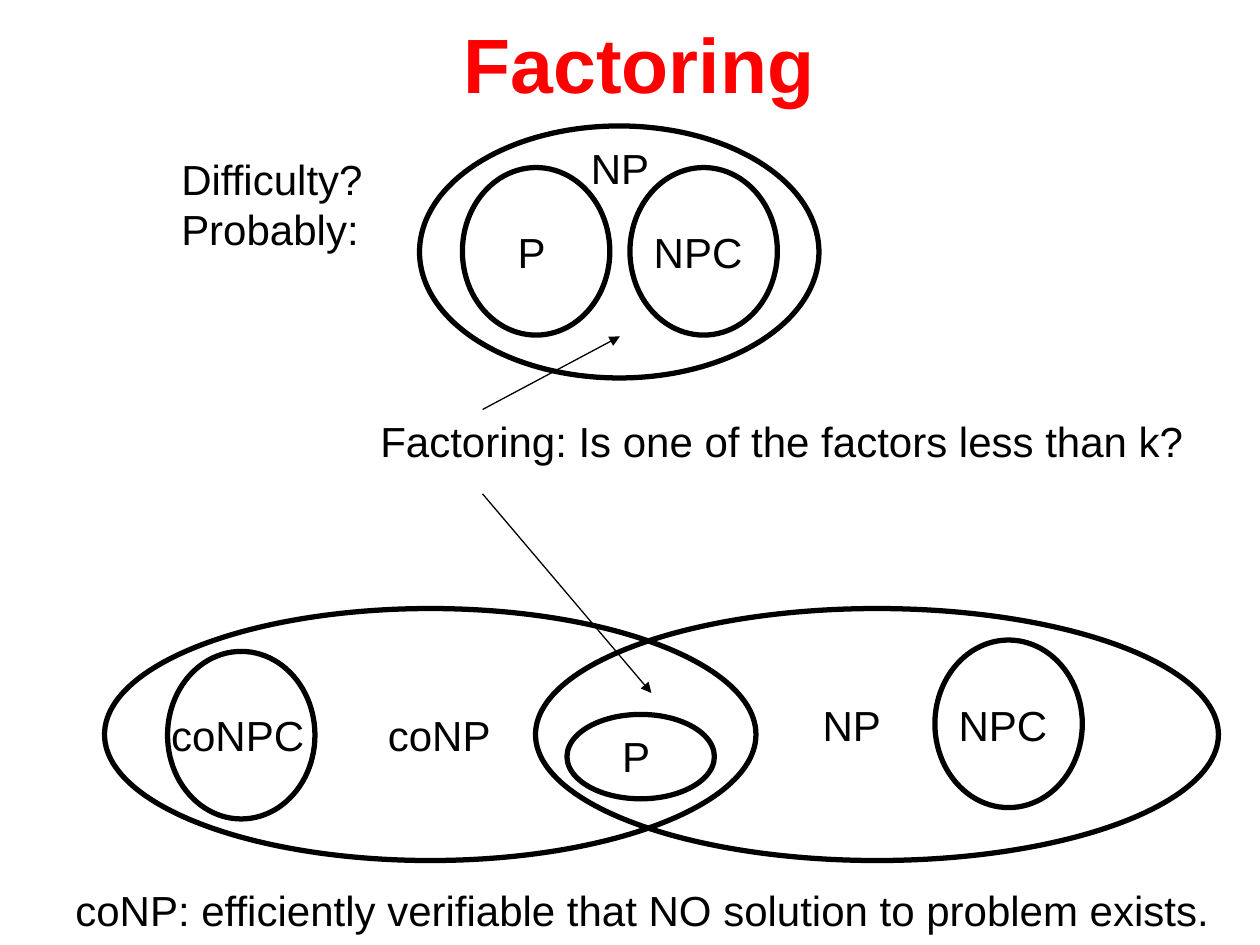
import pptx
import pptx.util
import pptx.dml.color
import pptx.enum.shapes
import pptx.enum.text
import pptx.oxml.ns
import lxml.etree

Inches = pptx.util.Inches
Pt = pptx.util.Pt


def paint(part, color):
    if hasattr(part, "solid"):
        part.solid()
        part = part.fore_color
    part.rgb = pptx.dml.color.RGBColor.from_string(color)


def write(shape, lines, size, color, bold=False):
    frame = shape.text_frame
    frame.word_wrap = False
    frame.auto_size = pptx.enum.text.MSO_AUTO_SIZE.NONE
    frame.vertical_anchor = pptx.enum.text.MSO_ANCHOR.TOP
    for i, line in enumerate(lines):
        para = frame.add_paragraph() if i else frame.paragraphs[0]
        para.alignment = pptx.enum.text.PP_ALIGN.LEFT
        run = para.add_run()
        run.text = line
        run.font.name = "Arial"
        run.font.size = Pt(size)
        run.font.bold = bold
        paint(run.font.color, color)


deck = pptx.Presentation()
deck.slide_width = Inches(10)
deck.slide_height = Inches(7.5)
slide = deck.slides.add_slide(deck.slide_layouts[5])
shapes = slide.shapes

title = shapes.title
title.left, title.top = Inches(3.58), Inches(0.08)
title.width, title.height = Inches(3.1), Inches(0.84)
write(title, ["Factoring"], 44, "FF0000", True)

sets = [
    (3.33, 1, 3.17, 2, True),
    (5, 1.33, 1.17, 1.33, True),
    (3.67, 1.33, 1.17, 1.33, True),
    (4.25, 4.83, 5.42, 2, False),
    (0.83, 4.83, 5.17, 2, False),
    (4.5, 5.67, 1.17, 0.67, True),
    (7.42, 5.08, 1.17, 1.33, True),
    (1.33, 5.17, 1.17, 1.33, True),
]
for left, top, width, height, solid in sets:
    oval = shapes.add_shape(
        pptx.enum.shapes.MSO_SHAPE.OVAL,
        Inches(left), Inches(top), Inches(width), Inches(height))
    oval.shadow.inherit = False
    if solid:
        paint(oval.fill, "FFFFFF")
    else:
        oval.fill.background()
    paint(oval.line.fill, "000000")
    oval.line.width = Pt(3)

labels = [
    (5.09, 1.75, 1, 0.5, ["NPC"]),
    (4.01, 1.75, 0.5, 0.5, ["P"]),
    (4.59, 1.08, 0.75, 0.5, ["NP"]),
    (2.92, 3.25, 6.7, 0.5, ["Factoring: Is one of the factors less than k?"]),
    (1.34, 1.17, 1.75, 0.9, ["Difficulty?", "Probably:"]),
    (4.84, 5.75, 0.5, 0.5, ["P"]),
    (6.43, 5.5, 0.75, 0.5, ["NP"]),
    (2.98, 5.58, 1.12, 0.5, ["coNP"]),
    (7.51, 5.5, 1, 0.5, ["NPC"]),
    (1.26, 5.58, 1.36, 0.5, ["coNPC"]),
    (0.5, 6.97, 9.3, 0.5,
     ["coNP: efficiently verifiable that NO solution to problem exists."]),
]
for left, top, width, height, lines in labels:
    box = shapes.add_textbox(
        Inches(left), Inches(top), Inches(width), Inches(height))
    write(box, lines, 24, "000000")
    box.text_frame.word_wrap = True

for x1, y1, x2, y2 in [(3.83, 3.25, 4.92, 2.67), (3.83, 3.92, 5.17, 5.5)]:
    arrow = shapes.add_connector(
        pptx.enum.shapes.MSO_CONNECTOR.STRAIGHT,
        Inches(x1), Inches(y1), Inches(x2), Inches(y2))
    paint(arrow.line.fill, "000000")
    arrow.line.width = Pt(0.75)
    qn = pptx.oxml.ns.qn
    tail = lxml.etree.SubElement(arrow.line._get_or_add_ln(), qn("a:tailEnd"))
    tail.set("type", "triangle")
    lxml.etree.SubElement(arrow._element.spPr, qn("a:effectLst"))

deck.save("out.pptx")
